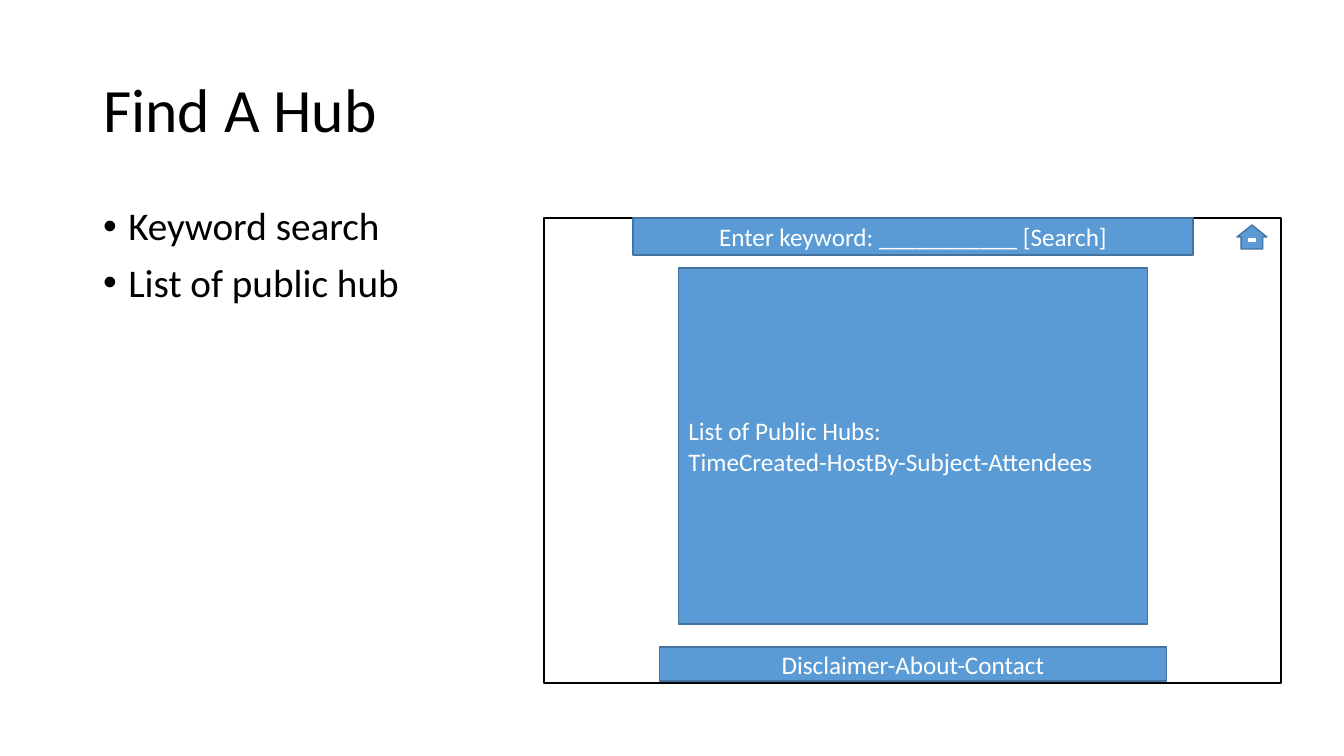
"""Build the "Find A Hub" slide with its page mock-up."""
from pptx import Presentation
from pptx.dml.color import RGBColor
from pptx.enum.shapes import MSO_SHAPE
from pptx.enum.text import MSO_ANCHOR, PP_ALIGN
from pptx.util import Pt

PX = 914400 / 100.8
BLACK = RGBColor(0x00, 0x00, 0x00)
WHITE = RGBColor(0xFF, 0xFF, 0xFF)
BLUE = RGBColor(0x5B, 0x9B, 0xD5)
EDGE = RGBColor(0x43, 0x73, 0x9E)
RECT, ARROW = MSO_SHAPE.RECTANGLE, MSO_SHAPE.UP_ARROW
LEFT, CENTER = PP_ALIGN.LEFT, PP_ALIGN.CENTER
TOP, MIDDLE = MSO_ANCHOR.TOP, MSO_ANCHOR.MIDDLE
MID = 913


def write(frame, text, size=18, color=WHITE, align=LEFT, anchor=MIDDLE, ratio=1.0, before=0):
    frame.word_wrap = True
    frame.vertical_anchor = anchor
    frame.text = text
    for para in frame.paragraphs:
        para.alignment = align
        para.line_spacing = ratio
        para.space_before = Pt(before)
        for run in para.runs:
            run.font.name = "Calibri"
            run.font.size = Pt(size)
            run.font.color.rgb = color


def draw(kind, left, top, width, height, fill=BLUE, line=EDGE):
    shape = slide.shapes.add_shape(kind, *[round(n * PX) for n in (left, top, width, height)])
    shape.shadow.inherit = False
    shape.fill.solid()
    shape.fill.fore_color.rgb = fill
    shape.line.color.rgb = line
    shape.line.width = Pt(1)
    return shape


deck = Presentation()
deck.slide_width, deck.slide_height = round(1344 * PX), round(756 * PX)
slide = deck.slides.add_slide(deck.slide_layouts[1])
title, body = slide.placeholders

for holder, (left, top, width, height) in (
    (title, (93, 40, 1159, 146)),
    (body, (93, 202, 374, 480)),
):
    holder.left, holder.top = round(left * PX), round(top * PX)
    holder.width, holder.height = round(width * PX), round(height * PX)

write(title.text_frame, "Find A Hub", size=44, color=BLACK, ratio=0.9)
write(body.text_frame, "Keyword search\nList of public hub",
      size=28, color=BLACK, anchor=TOP, ratio=0.9, before=10)
for para in body.text_frame.paragraphs:
    props = para._p.get_or_add_pPr()
    props.set("marL", "228600")
    props.set("indent", "-228600")

draw(RECT, 544, 218, 737, 465, fill=WHITE, line=BLACK)

for top, width, height, align, text in (
    (218, 560, 37, CENTER, "Enter keyword: ___________ [Search]"),
    (647, 507, 34, CENTER, "Disclaimer-About-Contact"),
    (268, 469, 356, LEFT, "List of Public Hubs:\nTimeCreated-HostBy-Subject-Attendees"),
):
    panel = draw(RECT, MID - width / 2, top, width, height)
    write(panel.text_frame, text, align=align)

house = draw(ARROW, 1237, 225, 30, 24)
house.adjustments[0] = 0.72
house.adjustments[1] = 0.5
draw(RECT, 1247, 237, 10, 6, fill=WHITE, line=BLUE)

deck.save("out.pptx")
